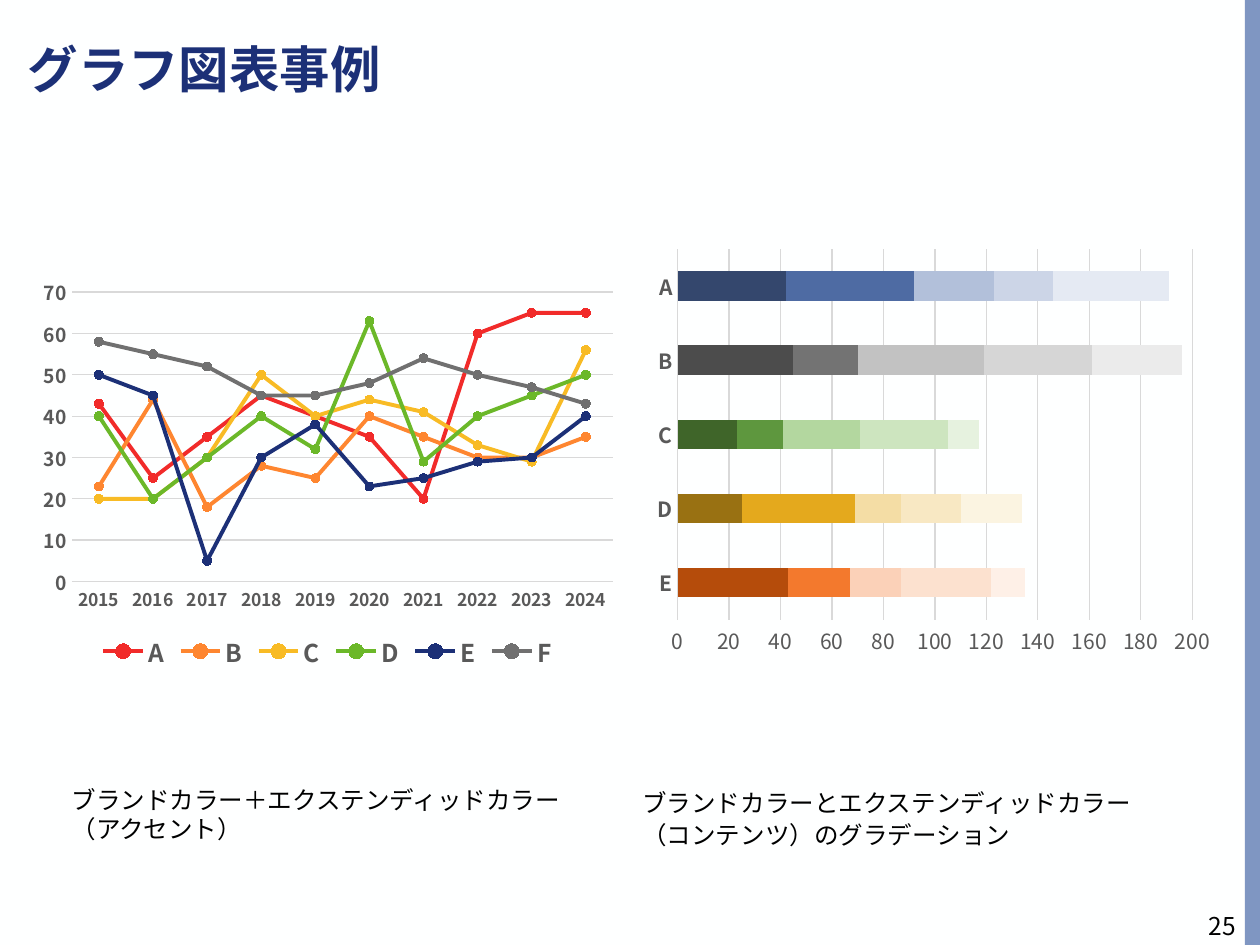
from lxml import etree
from pptx import Presentation
from pptx.chart.data import CategoryChartData
from pptx.dml.color import RGBColor
from pptx.enum.chart import XL_CHART_TYPE, XL_LEGEND_POSITION, XL_MARKER_STYLE, XL_TICK_MARK
from pptx.enum.shapes import MSO_SHAPE
from pptx.enum.text import MSO_ANCHOR, PP_ALIGN
from pptx.oxml import parse_xml
from pptx.oxml.ns import nsdecls, qn
from pptx.util import Pt

FONT = "Noto Sans CJK JP"
BACKGROUND = RGBColor(0xFE, 0xFF, 0xFF)
STRIPE = RGBColor(0x7F, 0x96, 0xC2)
NAVY = RGBColor(0x1C, 0x30, 0x77)
BLACK = RGBColor(0, 0, 0)
LABEL_GRAY = RGBColor(0x59, 0x59, 0x59)
GRID_GRAY = RGBColor(0xD9, 0xD9, 0xD9)

LINE_SERIES = [
    ("A", RGBColor(0xF1, 0x2B, 0x2A), [43, 25, 35, 45, 40, 35, 20, 60, 65, 65]),
    ("B", RGBColor(0xFE, 0x86, 0x30), [23, 44, 18, 28, 25, 40, 35, 30, 30, 35]),
    ("C", RGBColor(0xF8, 0xBB, 0x25), [20, 20, 30, 50, 40, 44, 41, 33, 29, 56]),
    ("D", RGBColor(0x6B, 0xB8, 0x29), [40, 20, 30, 40, 32, 63, 29, 40, 45, 50]),
    ("E", NAVY, [50, 45, 5, 30, 38, 23, 25, 29, 30, 40]),
    ("F", RGBColor(0x70, 0x70, 0x70), [58, 55, 52, 45, 45, 48, 54, 50, 47, 43]),
]
BAR_VALUES = [
    [43, 25, 23, 45, 42],
    [24, 44, 18, 25, 50],
    [20, 18, 30, 49, 31],
    [35, 23, 34, 42, 23],
    [13, 24, 12, 35, 45],
]
BAR_COLORS = [
    [RGBColor.from_string(code) for code in row.split()]
    for row in (
        "B54C0B 997112 3F6529 4C4C4C 34476D",
        "F3792D E4A91D 5E973E 737373 4E6BA3",
        "FBD1B8 F4DDA5 B3D79F C2C2C2 B2C0DA",
        "FCE1CF F8E8C3 CDE5BF D6D6D6 CCD5E7",
        "FEF0E7 FBF4E1 E6F2DF EBEBEB E5EAF3",
    )
]


def add_run(paragraph, text, size, color, font=FONT, bold=False):
    run = paragraph.add_run()
    run.text = text
    run.font.size = Pt(size)
    run.font.name = font
    run.font.bold = bold
    run.font.color.rgb = color
    east_asian = etree.SubElement(run.font._element, qn("a:ea"))
    east_asian.set("typeface", font)


def add_styled_chart(chart_type, box, data, plot_box, category_size, value_size, value_bold):
    chart = slide.shapes.add_chart(chart_type, *[Pt(length) for length in box], data).chart
    chart.has_title = False
    chart.has_legend = False
    chart.font.name = FONT
    chart.font.size = Pt(10)
    chart.font.color.rgb = BLACK
    axes = (
        (chart.category_axis, category_size, True),
        (chart.value_axis, value_size, value_bold),
    )
    for axis, size, bold in axes:
        axis.major_tick_mark = XL_TICK_MARK.NONE
        axis.minor_tick_mark = XL_TICK_MARK.NONE
        axis.tick_labels.font.size = Pt(size)
        axis.tick_labels.font.bold = bold
        axis.tick_labels.font.color.rgb = LABEL_GRAY
    chart.value_axis.format.line.fill.background()
    chart.value_axis.has_major_gridlines = True
    for line in (chart.category_axis.format.line, chart.value_axis.major_gridlines.format.line):
        line.color.rgb = GRID_GRAY
        line.width = Pt(0.75)
    plot_area = chart._chartSpace.chart.plotArea
    for layout in plot_area.findall(qn("c:layout")):
        plot_area.remove(layout)
    edges = "".join(f'<c:{name} val="{value}"/>' for name, value in zip("xywh", plot_box))
    plot_area.insert(0, parse_xml(
        f'<c:layout {nsdecls("c")}><c:manualLayout><c:layoutTarget val="inner"/>'
        f'<c:xMode val="edge"/><c:yMode val="edge"/>{edges}</c:manualLayout></c:layout>'
    ))
    return chart


presentation = Presentation()
presentation.slide_width = Pt(720)
presentation.slide_height = Pt(540)
slide = presentation.slides.add_slide(presentation.slide_layouts[5])
slide.background.fill.solid()
slide.background.fill.fore_color.rgb = BACKGROUND

stripe = slide.shapes.add_shape(MSO_SHAPE.RECTANGLE, Pt(711.4), Pt(0), Pt(8.6), Pt(540))
stripe.shadow.inherit = False
stripe.fill.solid()
stripe.fill.fore_color.rgb = STRIPE
stripe.line.fill.background()

title = slide.shapes.title
title.left, title.top, title.width, title.height = Pt(8.6), Pt(20.9), Pt(531.4), Pt(41)
title.text_frame.vertical_anchor = MSO_ANCHOR.MIDDLE
title_paragraph = title.text_frame.paragraphs[0]
title_paragraph.alignment = PP_ALIGN.LEFT
title_paragraph.line_spacing = 0.9
add_run(title_paragraph, "グラフ図表事例", 28.8, NAVY, bold=True)

line_data = CategoryChartData()
line_data.categories = [str(year) for year in range(2015, 2025)]
for name, color, values in LINE_SERIES:
    line_data.add_series(name, values)
line_chart = add_styled_chart(
    XL_CHART_TYPE.LINE_MARKERS, (17.3, 155.5, 339.8, 229.7), line_data,
    (0.07, 0.05, 0.91, 0.72), 10, 11, True,
)
line_chart.value_axis.minimum_scale = 0
line_chart.value_axis.maximum_scale = 70
line_chart.value_axis.major_unit = 10
line_chart.has_legend = True
line_chart.legend.position = XL_LEGEND_POSITION.BOTTOM
line_chart.legend.include_in_layout = False
line_chart.legend.font.size = Pt(14)
line_chart.legend.font.bold = True
line_chart.legend.font.color.rgb = LABEL_GRAY
for series, (name, color, values) in zip(line_chart.plots[0].series, LINE_SERIES):
    series.smooth = False
    series.format.line.color.rgb = color
    series.format.line.width = Pt(2.25)
    series.marker.style = XL_MARKER_STYLE.CIRCLE
    series.marker.size = 5
    series.marker.format.fill.solid()
    series.marker.format.fill.fore_color.rgb = color
    series.marker.format.line.color.rgb = color

bar_data = CategoryChartData()
bar_data.categories = list("EDCBA")
for number, values in enumerate(BAR_VALUES, 1):
    bar_data.add_series(f"Series {number}", values)
bar_chart = add_styled_chart(
    XL_CHART_TYPE.BAR_STACKED, (370.8, 137.5, 326.9, 243.4), bar_data,
    (0.05, 0.02, 0.9, 0.87), 12, 12, False,
)
bar_chart.value_axis.minimum_scale = 0
bar_chart.value_axis.maximum_scale = 200
bar_chart.value_axis.major_unit = 20
bar_plot = bar_chart.plots[0]
bar_plot.vary_by_categories = False
bar_plot.gap_width = 150
bar_plot.overlap = 100
for series, colors in zip(bar_plot.series, BAR_COLORS):
    for index, color in enumerate(colors):
        fill = series.points[index].format.fill
        fill.solid()
        fill.fore_color.rgb = color

captions = [
    (33.8, 306.7, 35.3, None, ["ブランドカラー＋エクステンディッドカラー", "（アクセント）"]),
    (360, 326.2, 43.9, 1.1,
     ["ブランドカラーとエクステンディッドカラー", "（コンテンツ）のグラデーション"]),
]
for left, width, height, spacing, lines in captions:
    caption = slide.shapes.add_textbox(Pt(left), Pt(445), Pt(width), Pt(height))
    frame = caption.text_frame
    frame.word_wrap = spacing is not None
    for index, text in enumerate(lines):
        paragraph = frame.add_paragraph() if index else frame.paragraphs[0]
        paragraph.line_spacing = spacing
        add_run(paragraph, text, 14, BLACK, font="Arial")

page_number = slide.shapes.add_textbox(Pt(678.2), Pt(514.8), Pt(35.3), Pt(28.8))
page_number.text_frame.word_wrap = True
page_number.text_frame.vertical_anchor = MSO_ANCHOR.MIDDLE
page_paragraph = page_number.text_frame.paragraphs[0]
page_paragraph.alignment = PP_ALIGN.RIGHT
add_run(page_paragraph, "25", 14, BLACK)

presentation.save("out.pptx")
